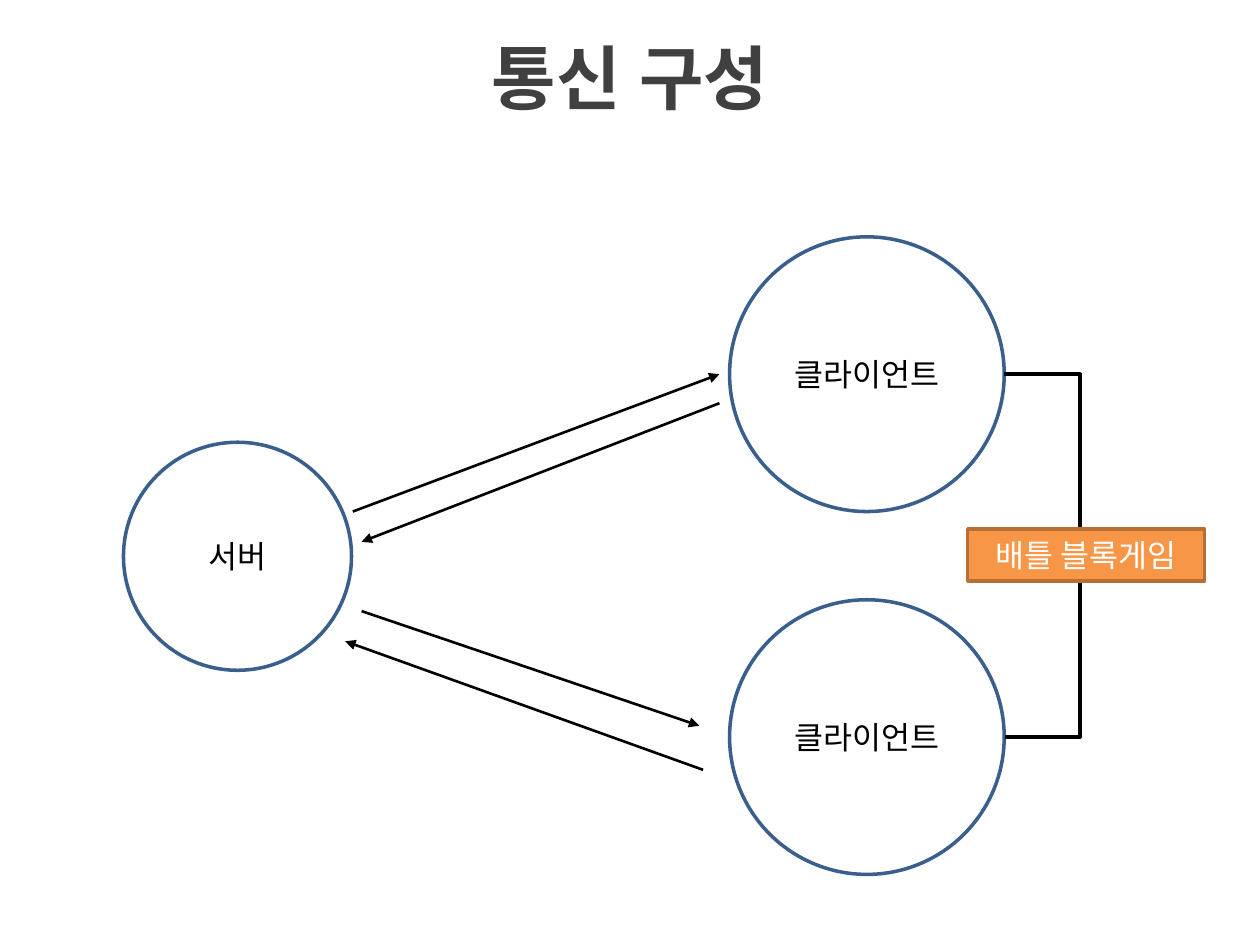
import pptx
import pptx.util
import pptx.dml.color
import pptx.enum.shapes
import pptx.enum.text
import pptx.oxml
import pptx.oxml.ns
import pptx.oxml.xmlchemy

Inches, Pt = pptx.util.Inches, pptx.util.Pt
SHAPE = pptx.enum.shapes.MSO_SHAPE
CONNECTOR = pptx.enum.shapes.MSO_CONNECTOR
qn = pptx.oxml.ns.qn

BODY_FONT = "Noto Sans CJK KR"
BLACK = "000000"
CLIENT_BOXES = [(5.79, 1.88, 2.18, 2.18), (5.79, 4.76, 2.18, 2.18)]
SERVER_BOX = (0.98, 3.51, 1.81, 1.81)
MESSAGES = [
    ((2.8, 4.06), (5.71, 2.97)),
    ((5.71, 3.2), (2.87, 4.3)),
    ((5.58, 6.11), (2.74, 5.09)),
    ((2.87, 4.85), (5.55, 5.76)),
]


def rgb(value):
    return pptx.dml.color.RGBColor.from_string(value)


def element(tag, **attributes):
    el = pptx.oxml.xmlchemy.OxmlElement(tag)
    for name, value in attributes.items():
        el.set(name, value)
    return el


def write_text(shape, text, font, size, color, bold=False):
    tf = shape.text_frame
    tf.word_wrap = True
    tf.vertical_anchor = pptx.enum.text.MSO_ANCHOR.MIDDLE
    p = tf.paragraphs[0]
    p.alignment = pptx.enum.text.PP_ALIGN.CENTER
    r = p.add_run()
    r.text = text
    for name, value in {"name": font, "size": Pt(size), "bold": bold}.items():
        setattr(r.font, name, value)
    r.font.color.rgb = rgb(color)
    latin = r.font._element.find(qn("a:latin"))
    latin.addnext(element("a:ea", typeface=font))


def add_title(s, box, text):
    sp = s.shapes.title
    for name, value in zip(("left", "top", "width", "height"), box):
        setattr(sp, name, Inches(value))
    write_text(sp, text, "Arial", 40, "404040", bold=True)


def add_node(s, kind, box, text, line, color, fill=None):
    sp = s.shapes.add_shape(kind, *map(Inches, box))
    sp.shadow.inherit = False
    if fill:
        sp.fill.solid()
        sp.fill.fore_color.rgb = rgb(fill)
    else:
        sp.fill.background()
    sp.line.color.rgb = rgb(line)
    sp.line.width = Pt(2)
    write_text(sp, text, BODY_FONT, 18, color)


def add_line(s, kind, start, end, width):
    c = s.shapes.add_connector(kind, *map(Inches, start + end))
    c.line.color.rgb = rgb(BLACK)
    c.line.width = Pt(width)
    c._element.spPr.append(element("a:effectLst"))
    return c


def add_message(s, start, end):
    """Arrow for one direction of traffic."""
    c = add_line(s, CONNECTOR.STRAIGHT, start, end, 1.5)
    c._element.spPr.find(qn("a:ln")).append(element("a:tailEnd", type="triangle"))


def add_bracket(s, upper, lower, reach):
    """Join the right sides of two boxes by a bend that stands out by reach."""
    (x1, y1), (x2, y2) = [(l + w, t + h / 2) for l, t, w, h in (upper, lower)]
    offset = 0.01  # the bend is a share of the width, which must not be zero
    c = add_line(s, CONNECTOR.ELBOW, (x1, y1), (x2 + offset, y2), 2.25)
    bend = f"val {round(reach / offset * 100000)}"
    guides = c._element.spPr.find(qn("a:prstGeom")).get_or_add_avLst()
    guides.append(element("a:gd", name="adj1", fmla=bend))


def add_network(s):
    nodes = [(box, "클라이언트") for box in CLIENT_BOXES] + [(SERVER_BOX, "서버")]
    for box, text in nodes:
        add_node(s, SHAPE.OVAL, box, text, "3A5F8C", BLACK)
    for start, end in MESSAGES:
        add_message(s, start, end)
    add_bracket(s, *CLIENT_BOXES, reach=0.61)
    add_node(s, SHAPE.RECTANGLE, (7.68, 4.2, 1.88, 0.41), "배틀 블록게임",
             "B76F34", "FFFFFF", fill="F79646")


def main():
    prs = pptx.Presentation()
    prs.slide_width, prs.slide_height = Inches(10), Inches(7.5)
    s = prs.slides.add_slide(prs.slide_layouts[5])
    add_title(s, (0, 0.02, 10, 1.17), "통신 구성")
    add_network(s)
    prs.save("out.pptx")


if __name__ == "__main__":
    main()
